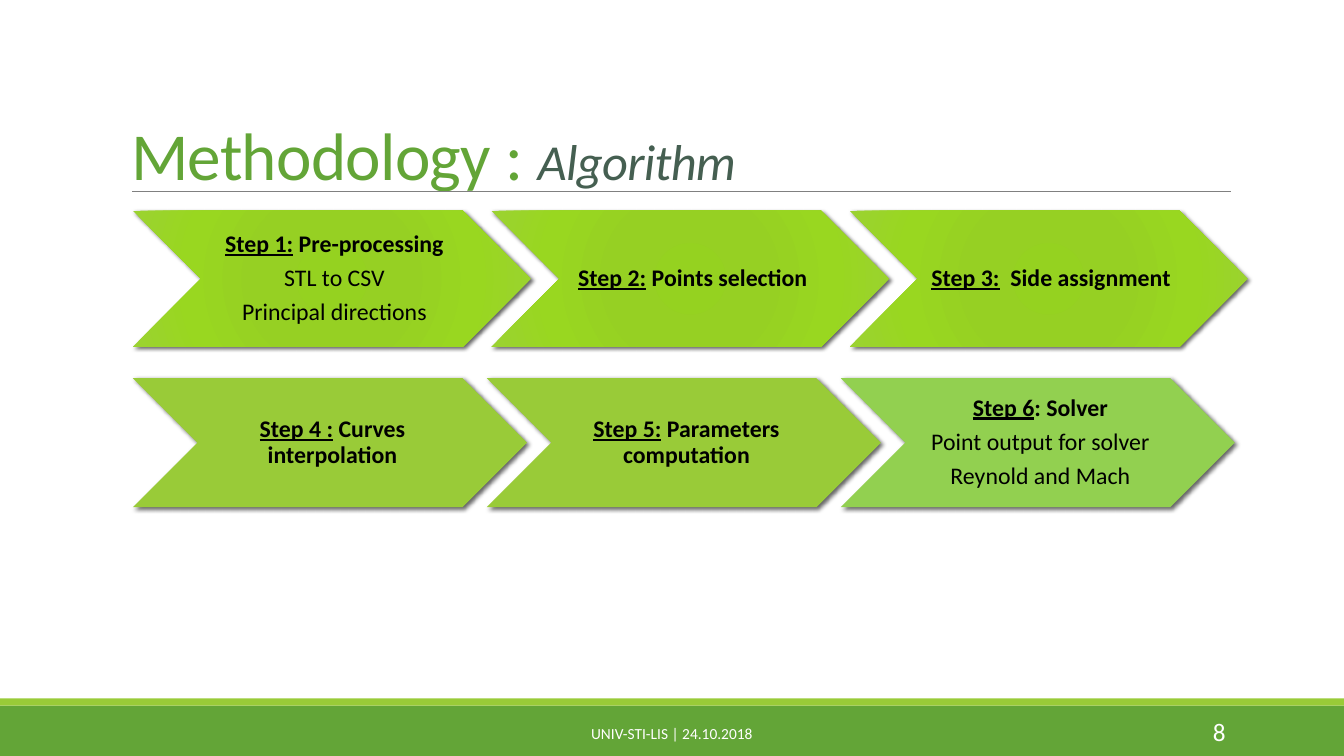
from lxml.etree import SubElement
from pptx import Presentation
from pptx.dml.color import RGBColor
from pptx.enum.shapes import MSO_CONNECTOR, MSO_SHAPE
from pptx.enum.text import MSO_ANCHOR, MSO_AUTO_SIZE, PP_ALIGN
from pptx.oxml import parse_xml
from pptx.oxml.ns import nsdecls, qn
from pptx.util import Cm, Pt

COLORS = {
    "green": "63A537", "lime": "99CB38", "light": "92D050",
    "slate": "455F51", "rule": "808080", "white": "FFFFFF", "black": "000000",
}
GRADIENT = [(0, "95D220"), (34, "96D023"), (70, "99D720"), (100, "9BD231")]


def add_run(p, text, size, color, bold=False, italic=False, underline=False):
    r = p.add_run()
    r.text = text
    f = r.font
    f.name, f.size = "Calibri", Pt(size)
    f.bold, f.italic, f.underline = bold, italic, underline
    f.color.rgb = RGBColor.from_string(COLORS[color])
    return r


def style_chevron(sp, fill):
    if fill == "gradient":
        stops = "".join(f'<a:gs pos="{pos * 1000}"><a:srgbClr val="{c}"/></a:gs>'
                        for pos, c in GRADIENT)
        sp._element.spPr.insert(2, parse_xml(
            f'<a:gradFill {nsdecls("a")}><a:gsLst>{stops}</a:gsLst><a:path path="circle">'
            '<a:fillToRect l="100000" t="100000" r="100000" b="100000"/>'
            '</a:path></a:gradFill>'))
    else:
        sp.fill.solid()
        sp.fill.fore_color.rgb = RGBColor.from_string(COLORS[fill])
    sp.line.fill.background()
    sp.shadow.inherit = False
    sp._element.spPr.find(qn("a:effectLst")).append(parse_xml(
        f'<a:outerShdw {nsdecls("a")} blurRad="{Pt(3)}" dist="{Pt(2)}" dir="2700000">'
        f'<a:srgbClr val="{COLORS["black"]}"><a:alpha val="60000"/></a:srgbClr>'
        '</a:outerShdw>'))


prs = Presentation()
prs.slide_width, prs.slide_height = Cm(33.87), Cm(19.05)
s = prs.slides.add_slide(prs.slide_layouts[5])

# Footer bars
for top, height, color in [(17.78, 1.27, "green"), (17.6, 0.18, "lime")]:
    bar = s.shapes.add_shape(MSO_SHAPE.RECTANGLE, 0, Cm(top), prs.slide_width, Cm(height))
    bar.fill.solid()
    bar.fill.fore_color.rgb = RGBColor.from_string(COLORS[color])
    bar.line.fill.background()
    bar.shadow.inherit = False

# Rule under the title
rule = s.shapes.add_connector(MSO_CONNECTOR.STRAIGHT, Cm(3.33), Cm(4.83), Cm(31.01), Cm(4.83))
rule.line.color.rgb = RGBColor.from_string(COLORS["rule"])
rule.line.width = Pt(0.5)
SubElement(rule._element.spPr, qn("a:effectLst"))

# Title
title = s.shapes.title
title.left, title.top, title.width, title.height = Cm(3.05), Cm(-0.43), Cm(28.09), Cm(5.44)
tf = title.text_frame
tf.auto_size = MSO_AUTO_SIZE.NONE
tf.vertical_anchor = MSO_ANCHOR.BOTTOM
p = tf.paragraphs[0]
p.alignment, p.line_spacing = PP_ALIGN.LEFT, 0.85
for r in (add_run(p, "Methodology : ", 48, "green"),
          add_run(p, "Algorithm", 36, "slate", italic=True)):
    r.font._element.set("spc", "-50")

# Footer text and slide number
for left, top, width, text, size, align in [
    (10.24, 17.98, 13.39, "UNIV-STI-LIS | 24.10.2018", 11, PP_ALIGN.CENTER),
    (27.51, 17.93, 3.63, "8", 18, PP_ALIGN.RIGHT),
]:
    tf = s.shapes.add_textbox(Cm(left), Cm(top), Cm(width), Cm(1.02)).text_frame
    tf.word_wrap = True
    tf.vertical_anchor = MSO_ANCHOR.MIDDLE
    tf.paragraphs[0].alignment = align
    add_run(tf.paragraphs[0], text, size, "white")

# Step chevrons: top, pitch, width, height, then (label, heading, details, fill)
rows = [
    (5.31, 9.03, 10.03, 3.43, [
        ("Step 1:", " Pre-processing", ["STL to CSV", "Principal directions"], "gradient"),
        ("Step 2:", " Points selection", [], "gradient"),
        ("Step 3:", "  Side assignment", [], "gradient"),
    ]),
    (9.53, 8.92, 9.93, 3.25, [
        ("Step 4 :", " Curves interpolation", [], "lime"),
        ("Step 5:", " Parameters computation", [], "lime"),
        ("Step 6", ": Solver", ["Point output for solver", "Reynold and Mach"], "light"),
    ]),
]
for top, pitch, width, height, steps in rows:
    for i, (label, heading, details, fill) in enumerate(steps):
        sp = s.shapes.add_shape(MSO_SHAPE.CHEVRON, Cm(3.35 + i * pitch), Cm(top),
                                Cm(width), Cm(height))
        style_chevron(sp, fill)
        tf = sp.text_frame
        tf.word_wrap = True
        tf.vertical_anchor = MSO_ANCHOR.MIDDLE
        tf.margin_left = Cm(0.18)
        tf.margin_top = tf.margin_right = tf.margin_bottom = Cm(0.05)
        add_run(tf.paragraphs[0], label, 17, "black", bold=True, underline=True)
        add_run(tf.paragraphs[0], heading, 17, "black", bold=True)
        for detail in details:
            add_run(tf.add_paragraph(), detail, 17, "black")
        for p in tf.paragraphs:
            p.alignment, p.line_spacing, p.space_after = PP_ALIGN.CENTER, 0.9, Pt(6)

prs.save("out.pptx")
